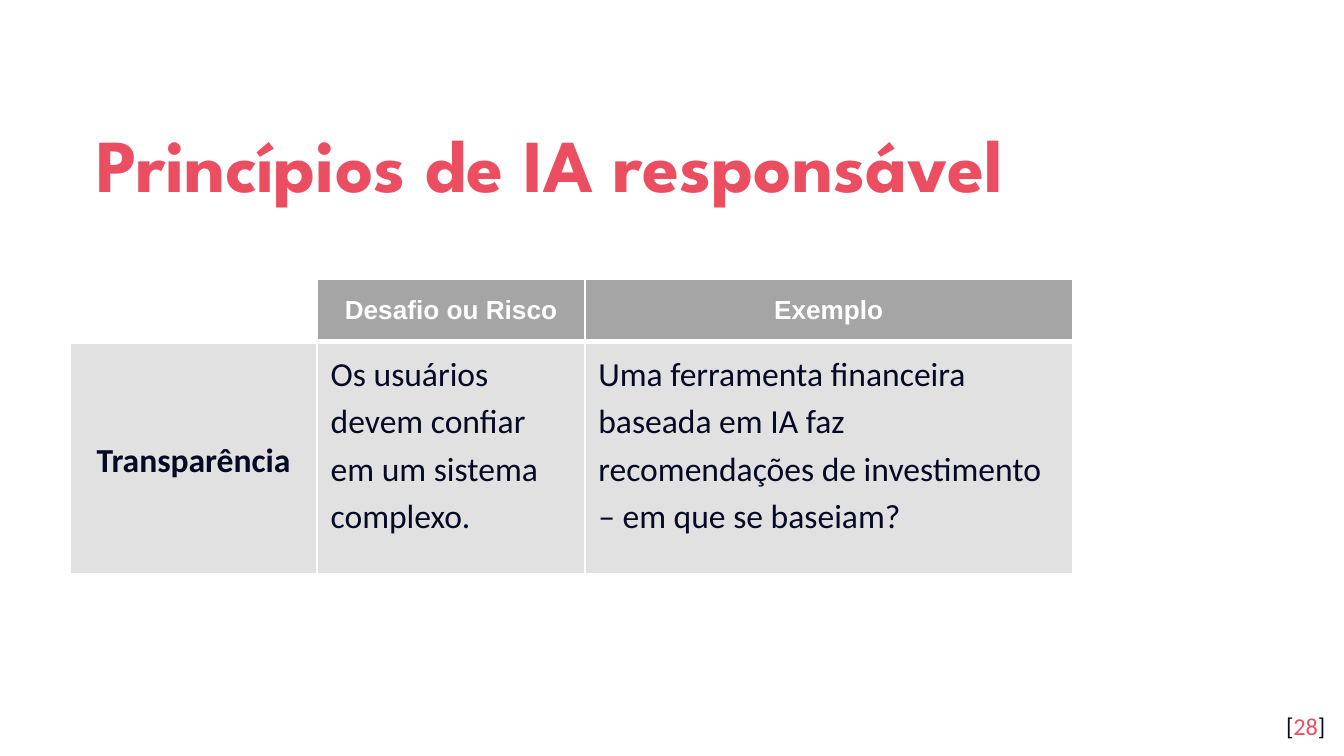
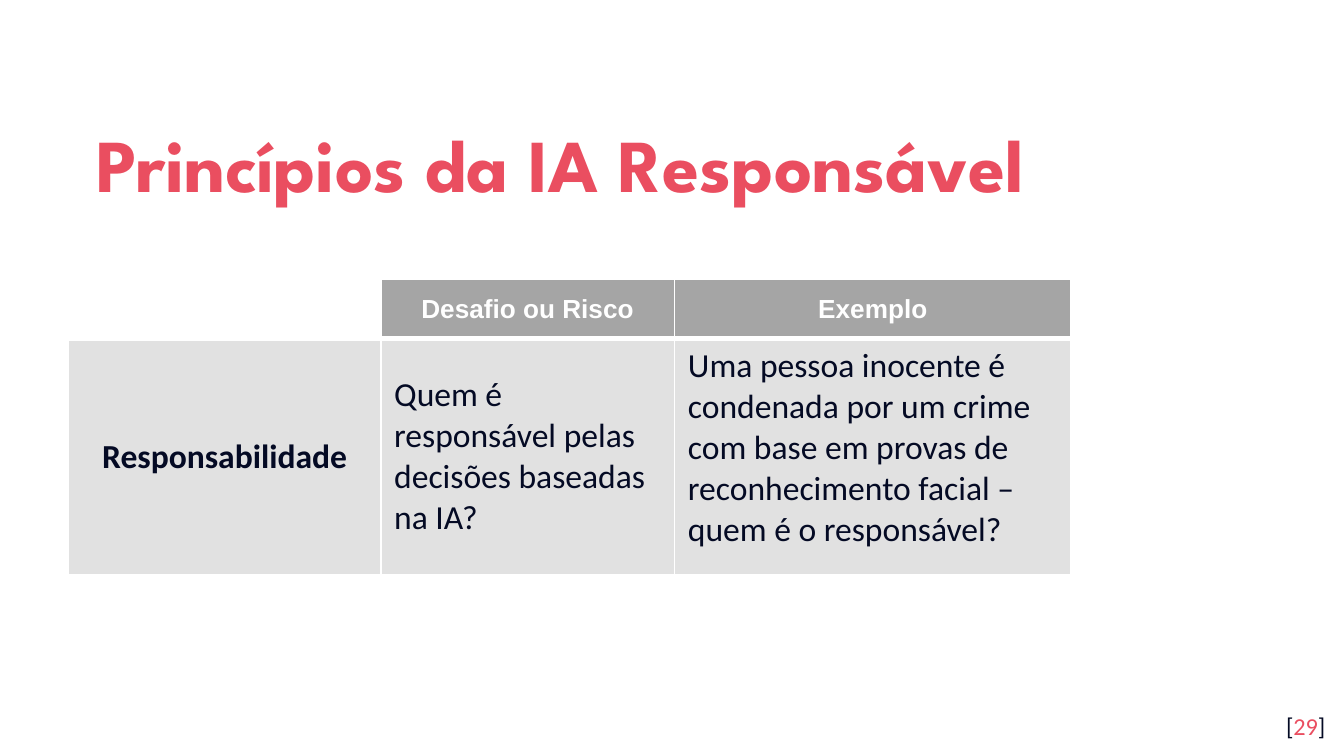
from dataclasses import dataclass

from lxml.etree import SubElement
from pptx import Presentation
from pptx.dml.color import RGBColor
from pptx.enum.text import MSO_ANCHOR, PP_ALIGN
from pptx.oxml.ns import qn
from pptx.util import Pt


@dataclass(frozen=True)
class Theme:
    # Colours
    accent: str = "EA4E60"
    ink: str = "040A24"
    white: str = "FFFFFF"
    header_fill: str = "A5A5A5"
    body_fill: str = "E1E1E1"
    # Fonts and type sizes
    title_font: str = "League Spartan"
    header_font: str = "Arial"
    body_font: str = "Calibri"
    title_size: int = 40
    header_size: int = 14
    body_size: int = 18
    page_size: int = 13
    # Spacing and rules
    inset: float = 7.2
    loose: float = 1.15
    thin_rule: int = 1
    thick_rule: int = 3


class SlideBuilder:
    def __init__(self, deck, theme):
        self.deck = deck
        self.theme = theme
        self.page = None

    def new_page(self):
        self.page = self.deck.slides.add_slide(self.deck.slide_layouts[6])
        fill = self.page.background.fill
        fill.solid()
        fill.fore_color.rgb = RGBColor.from_string(self.theme.white)

    def span(self, para, text, font, size, color, bold=False):
        run = para.add_run()
        run.text = text
        run.font.name = font
        run.font.size = Pt(size)
        run.font.bold = bold
        run.font.color.rgb = RGBColor.from_string(color)

    def text_box(self, left, top, width, height, anchor=MSO_ANCHOR.TOP):
        box = self.page.shapes.add_textbox(Pt(left), Pt(top), Pt(width), Pt(height))
        frame = box.text_frame
        frame.word_wrap = True
        frame.vertical_anchor = anchor
        frame.margin_left = frame.margin_right = Pt(self.theme.inset)
        frame.margin_top = frame.margin_bottom = Pt(self.theme.inset)
        return frame.paragraphs[0]

    def title(self, text):
        para = self.text_box(44.6, 50.4, 631.4, 66.2, MSO_ANCHOR.MIDDLE)
        para.line_spacing = self.theme.loose
        self.span(para, text, self.theme.title_font, self.theme.title_size,
                  self.theme.accent, bold=True)

    def page_number(self, number):
        theme = self.theme
        para = self.text_box(673.9, 373.7, 43.2, 31)
        para.alignment = PP_ALIGN.RIGHT
        for text, color in (("[", theme.ink), (str(number), theme.accent), ("]", theme.ink)):
            self.span(para, text, theme.body_font, theme.page_size, color)

    def cell_style(self, cell, color, top, bottom):
        # Border elements must come before the fill
        thin = self.theme.thin_rule
        properties = cell._tc.get_or_add_tcPr()
        for side, width in (("L", thin), ("R", thin), ("T", top), ("B", bottom)):
            line = SubElement(properties, qn(f"a:ln{side}"), w=str(Pt(width)))
            SubElement(SubElement(line, qn("a:solidFill")), qn("a:srgbClr"), val=self.theme.white)
        cell.fill.solid()
        cell.fill.fore_color.rgb = RGBColor.from_string(color)

    def table(self, left, top, widths, heights, topic, details, spacing, anchors):
        theme = self.theme
        table = self.page.shapes.add_table(
            len(heights), len(widths), Pt(left), Pt(top),
            Pt(sum(widths)), Pt(sum(heights))).table
        table.horz_banding = False
        for column, width in zip(table.columns, widths):
            column.width = Pt(width)
        for row, height in zip(table.rows, heights):
            row.height = Pt(height)

        # Header row, with an empty corner
        for index, text in enumerate(("", "Desafio ou Risco", "Exemplo")):
            cell = table.cell(0, index)
            self.cell_style(cell, theme.header_fill if text else theme.white,
                            theme.thin_rule, theme.thick_rule)
            if text:
                cell.vertical_anchor = MSO_ANCHOR.MIDDLE
                para = cell.text_frame.paragraphs[0]
                para.alignment = PP_ALIGN.CENTER
                self.span(para, text, theme.header_font, theme.header_size,
                          theme.white, bold=True)

        # Body row, led by the topic
        cell_anchors = (MSO_ANCHOR.MIDDLE, *anchors)
        for index, (text, anchor) in enumerate(zip((topic, *details), cell_anchors)):
            cell = table.cell(1, index)
            self.cell_style(cell, theme.body_fill, theme.thick_rule, theme.thin_rule)
            cell.vertical_anchor = anchor
            para = cell.text_frame.paragraphs[0]
            para.alignment = PP_ALIGN.LEFT if index else PP_ALIGN.CENTER
            para.line_spacing = spacing
            self.span(para, text, theme.body_font, theme.body_size, theme.ink, bold=index == 0)


def main():
    deck = Presentation()
    deck.slide_width, deck.slide_height = Pt(720), Pt(405)
    theme = Theme()
    builder = SlideBuilder(deck, theme)

    # Transparency
    builder.new_page()
    builder.title("Princípios de IA responsável")
    builder.page_number(28)
    builder.table(
        37.6, 149.4, (132.4, 143.4, 261.2), (33.8, 124.4), "Transparência",
        ("Os usuários devem confiar em um sistema complexo.",
         "Uma ferramenta financeira baseada em IA faz recomendações de investimento "
         "– em que se baseiam?"),
        theme.loose, (MSO_ANCHOR.TOP, MSO_ANCHOR.TOP))

    # Accountability
    builder.new_page()
    builder.title("Princípios da IA Responsável")
    builder.page_number(29)
    builder.table(
        36.8, 149.8, (167.2, 157.4, 212.4), (31.6, 126.6), "Responsabilidade",
        ("Quem é responsável pelas decisões baseadas na IA?",
         "Uma pessoa inocente é condenada por um crime com base em provas de "
         "reconhecimento facial – quem é o responsável?"),
        1.0, (MSO_ANCHOR.MIDDLE, MSO_ANCHOR.TOP))

    deck.save("out.pptx")


if __name__ == "__main__":
    main()
